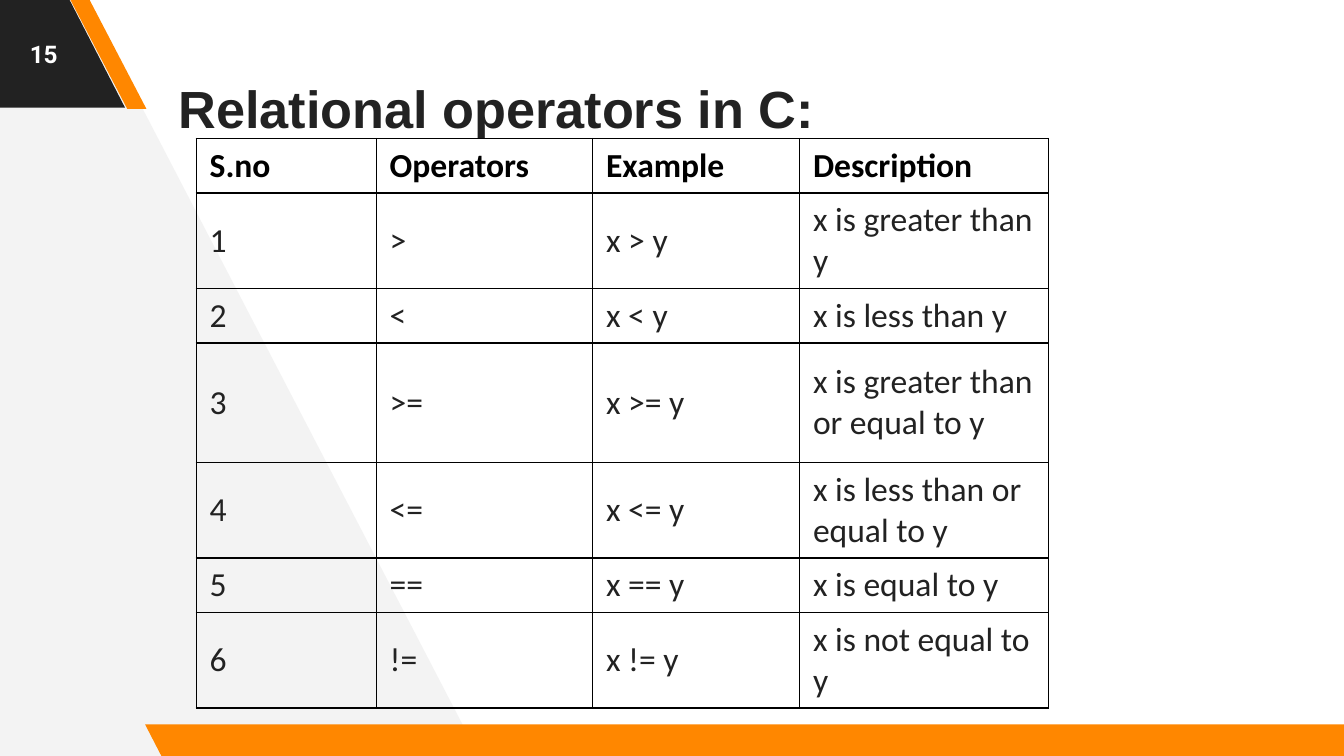
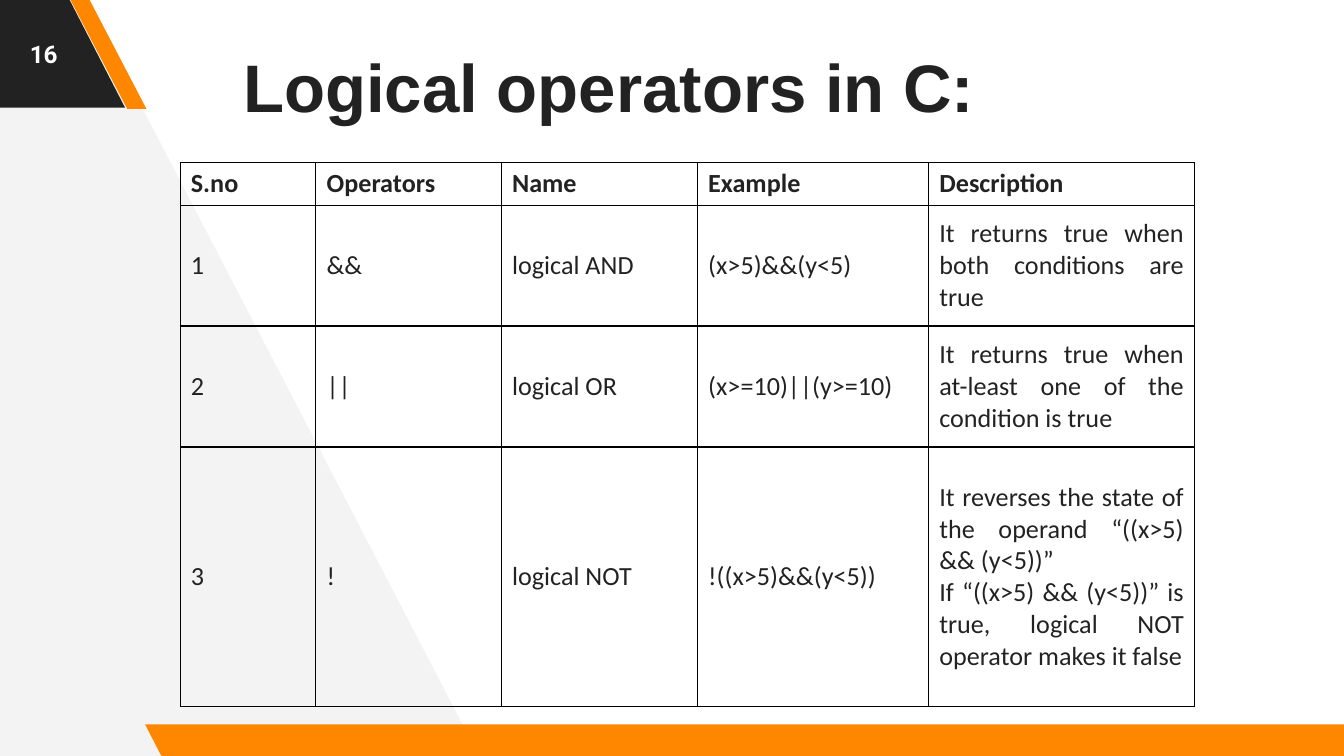
from dataclasses import dataclass

import pptx
import pptx.dml.color
import pptx.enum.shapes
import pptx.enum.text
import pptx.oxml
import pptx.oxml.ns
import pptx.util
from pptx.util import Inches

INK, ORANGE, PALE, WHITE, BLACK = "222222", "FF8700", "F3F3F3", "FFFFFF", "000000"
TITLE_FONT, TABLE_FONT, NUMBER_FONT = "Arial", "Calibri", "Roboto"
BORDER_PT = 0.75
TITLE_ONLY = 5
ALIGN = pptx.enum.text.PP_ALIGN
MIDDLE = pptx.enum.text.MSO_ANCHOR.MIDDLE


@dataclass(frozen=True)
class Box:
    left: float
    top: float
    width: float
    height: float

    def emu(self) -> list:
        return [Inches(v) for v in (self.left, self.top, self.width, self.height)]


@dataclass(frozen=True)
class Band:
    box: Box
    slant: float
    color: str


@dataclass(frozen=True)
class OperatorTable:
    left: float
    top: float
    columns: list
    row_heights: list
    rows: list
    size: int
    header_color: str
    margin_x: float
    margin_y: float
    last_column_align: ALIGN


@dataclass(frozen=True)
class OperatorSlide:
    number: int
    title: str
    title_box: Box
    title_size: int
    table: OperatorTable


BACKDROP = [(3.56, 5.62), (0.62, -0.04), (-0.06, -0.04), (-0.02, 5.66)]
BANDS = [
    Band(Box(-0.99, -0.02, 1.92, 0.82), 0.515, INK),
    Band(Box(0.52, -0.01, 0.57, 0.82), 0.75, ORANGE),
    Band(Box(1.08, 5.39, 9.15, 0.25), 0.515, ORANGE),
]
NUMBER_BOX = Box(0, 0, 0.65, 0.8)

RELATIONS = [
    (">", "greater than"),
    ("<", "less than"),
    (">=", "greater than or equal to"),
    ("<=", "less than or equal to"),
    ("==", "equal to"),
    ("!=", "not equal to"),
]

SLIDES = [
    OperatorSlide(
        15, "Relational operators in C:", Box(1.23, 0.4, 8.02, 0.8), 28,
        OperatorTable(
            left=1.46, top=1.03,
            columns=[1.34, 1.61, 1.54, 1.85],
            row_heights=[0.36, 0.62, 0.36, 0.89, 0.62, 0.36, 0.62],
            rows=[("S.no", "Operators", "Example", "Description")]
            + [(str(i), op, f"x {op} y", f"x is {meaning} y")
               for i, (op, meaning) in enumerate(RELATIONS, 1)],
            size=18, header_color=BLACK, margin_x=0.1, margin_y=0.05,
            last_column_align=ALIGN.LEFT,
        ),
    ),
    OperatorSlide(
        16, "Logical operators in C:", Box(1.71, 0.15, 7.54, 0.98), 36,
        OperatorTable(
            left=1.34, top=1.21,
            columns=[1.01, 1.38, 1.46, 1.72, 1.98],
            row_heights=[0.28, 0.9, 0.9, 1.93],
            rows=[
                ("S.no", "Operators", "Name", "Example", "Description"),
                ("1", "&&", "logical AND", "(x>5)&&(y<5)",
                 "It returns true when both conditions are true"),
                ("2", "||", "logical OR", "(x>=10)||(y>=10)",
                 "It returns true when at-least one of the condition is true"),
                ("3", "!", "logical NOT", "!((x>5)&&(y<5))",
                 "It reverses the state of the operand “((x>5) && (y<5))”\n"
                 "If “((x>5) && (y<5))” is true, logical NOT operator makes it false"),
            ],
            size=14, header_color=INK, margin_x=0.08, margin_y=0.04,
            last_column_align=ALIGN.JUSTIFY,
        ),
    ),
]


def rgb(color: str) -> pptx.dml.color.RGBColor:
    return pptx.dml.color.RGBColor.from_string(color)


def paint(sp, color: str) -> None:
    sp.shadow.inherit = False
    sp.fill.solid()
    sp.fill.fore_color.rgb = rgb(color)
    sp.line.fill.background()


def format_text(tf, font: str, size: int, color: str, bold: bool, align: ALIGN) -> None:
    for p in tf.paragraphs:
        p.alignment = align
        for r in p.runs:
            r.font.name = font
            r.font.size = pptx.util.Pt(size)
            r.font.bold = bold
            r.font.color.rgb = rgb(color)


def set_label(sp, text: str) -> None:
    """Set text in a wrapped, vertically centred frame with equal insets."""
    tf = sp.text_frame
    tf.text = text
    tf.word_wrap = True
    tf.auto_size = pptx.enum.text.MSO_AUTO_SIZE.NONE
    tf.vertical_anchor = MIDDLE
    tf.margin_left = tf.margin_right = tf.margin_top = tf.margin_bottom = Inches(0.1)


def add_frame(s) -> None:
    """Draw the pale backdrop and the slanted bands."""
    points = [(Inches(x), Inches(y)) for x, y in BACKDROP]
    outline = s.shapes.build_freeform(*points[0])
    outline.add_line_segments(points[1:], close=True)
    paint(outline.convert_to_shape(), PALE)
    for band in BANDS:
        sp = s.shapes.add_shape(
            pptx.enum.shapes.MSO_SHAPE.PARALLELOGRAM, *band.box.emu())
        sp.adjustments[0] = band.slant
        sp.element.spPr.find(pptx.oxml.ns.qn("a:xfrm")).set("flipH", "1")
        paint(sp, band.color)


def add_title(s, item: OperatorSlide) -> None:
    title = s.shapes.title
    title.left, title.top, title.width, title.height = item.title_box.emu()
    set_label(title, item.title)
    format_text(title.text_frame, TITLE_FONT, item.title_size, INK, True, ALIGN.LEFT)
    s.shapes.element.append(title.element)  # in front of the frame


def add_number(s, number: int) -> None:
    sp = s.shapes.add_textbox(*NUMBER_BOX.emu())
    set_label(sp, str(number))
    format_text(sp.text_frame, NUMBER_FONT, 13, WHITE, True, ALIGN.CENTER)


def add_borders(cell) -> None:
    tc_pr = cell._tc.get_or_add_tcPr()
    for side in "LRTB":
        tc_pr.append(pptx.oxml.parse_xml(
            f'<a:ln{side} {pptx.oxml.ns.nsdecls("a")} w="{pptx.util.Pt(BORDER_PT)}">'
            f'<a:solidFill><a:srgbClr val="{BLACK}"/></a:solidFill></a:ln{side}>'))


def add_operator_table(s, t: OperatorTable) -> None:
    box = Box(t.left, t.top, sum(t.columns), sum(t.row_heights))
    table = s.shapes.add_table(len(t.rows), len(t.columns), *box.emu()).table
    table.first_row = table.horz_banding = False
    for column, width in zip(table.columns, t.columns):
        column.width = Inches(width)
    for i, (row, height, texts) in enumerate(zip(table.rows, t.row_heights, t.rows)):
        row.height = Inches(height)
        header = i == 0
        for j, (cell, text) in enumerate(zip(row.cells, texts)):
            cell.text_frame.text = text
            cell.vertical_anchor = MIDDLE
            cell.margin_left = cell.margin_right = Inches(t.margin_x)
            cell.margin_top = cell.margin_bottom = Inches(t.margin_y)
            add_borders(cell)
            cell.fill.background()
            last = j == len(texts) - 1
            align = t.last_column_align if last and not header else ALIGN.LEFT
            color = t.header_color if header else INK
            format_text(cell.text_frame, TABLE_FONT, t.size, color, header, align)


def main() -> None:
    prs = pptx.Presentation()
    prs.slide_width = Inches(10)
    prs.slide_height = prs.slide_width * 9 // 16
    for item in SLIDES:
        s = prs.slides.add_slide(prs.slide_layouts[TITLE_ONLY])
        add_frame(s)
        add_title(s, item)
        add_number(s, item.number)
        add_operator_table(s, item.table)
    prs.save("out.pptx")


if __name__ == "__main__":
    main()
